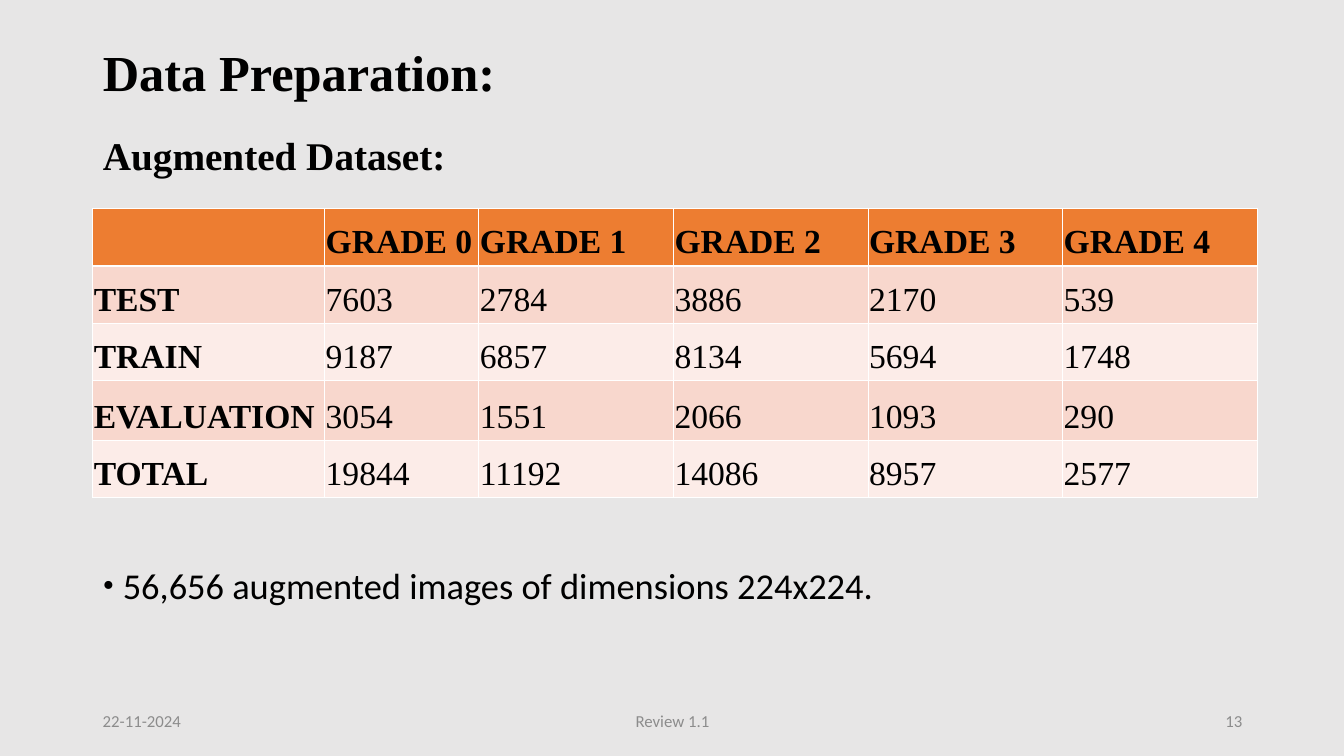
from lxml.etree import SubElement
from pptx import Presentation
from pptx.dml.color import RGBColor
from pptx.enum.text import MSO_ANCHOR, MSO_AUTO_SIZE, PP_ALIGN
from pptx.oxml.ns import qn
from pptx.util import Inches, Pt

COLORS = {
    "background": "E7E6E6",
    "text": "000000",
    "footer": "8C8C8C",
    "header": "ED7D31",
    "odd_row": "F8D7CD",
    "even_row": "FCECE8",
    "border": "FFFFFF",
}
SERIF, SANS = "Times New Roman", "Calibri"
COLUMN_WIDTHS = [2.3, 1.53] + [1.93] * 4
ROW_HEIGHTS = [0.57, 0.57, 0.57, 0.59, 0.57]
DATASET = [
    ["", "GRADE 0", "GRADE 1", "GRADE 2", "GRADE 3", "GRADE 4"],
    ["TEST", "7603", "2784", "3886", "2170", "539"],
    ["TRAIN", "9187", "6857", "8134", "5694", "1748"],
    ["EVALUATION", "3054", "1551", "2066", "1093", "290"],
    ["TOTAL", "19844", "11192", "14086", "8957", "2577"],
]


def color(name):
    return RGBColor.from_string(COLORS[name])


def write(para, text, size=24, font=SERIF, fill="text", bold=False,
          align=PP_ALIGN.LEFT):
    para.alignment = align
    span = para.add_run()
    span.text = text
    span.font.size = Pt(size)
    span.font.name = font
    span.font.bold = bold
    span.font.color.rgb = color(fill)


def place(shape, box):
    shape.left, shape.top, shape.width, shape.height = map(Inches, box)


def add_text_box(page, box, anchor):
    frame = page.shapes.add_textbox(*map(Inches, box)).text_frame
    frame.word_wrap = True
    frame.vertical_anchor = anchor
    return frame.paragraphs[0]


def add_title(page, box):
    title = page.shapes.title
    place(title, box)
    frame = title.text_frame
    frame.auto_size = MSO_AUTO_SIZE.NONE
    frame.vertical_anchor = MSO_ANCHOR.MIDDLE
    heading, subheading = frame.paragraphs[0], frame.add_paragraph()
    write(heading, "Data Preparation:", size=36, bold=True)
    write(subheading, "Augmented Dataset:", size=28, bold=True)
    heading.line_spacing = subheading.line_spacing = 0.9
    subheading.space_before = Pt(25)


def set_borders(cell, widths):
    properties = cell._tc.get_or_add_tcPr()
    for side, width in widths.items():
        line = SubElement(properties, qn(f"a:ln{side}"), w=str(Pt(width)))
        fill = SubElement(line, qn("a:solidFill"))
        SubElement(fill, qn("a:srgbClr"), val=COLORS["border"])


def format_cell(cell, text, row, column):
    cell.margin_left = cell.margin_top = cell.margin_right = Inches(0.01)
    cell.margin_bottom = Inches(0.05)
    cell.vertical_anchor = MSO_ANCHOR.BOTTOM
    set_borders(cell, {"L": 0.75, "R": 0.75,
                       "T": 1.92 if row == 1 else 0.75,
                       "B": 1.92 if row == 0 else 0.75})
    cell.fill.solid()
    band = "odd_row" if row % 2 else "even_row"
    cell.fill.fore_color.rgb = color("header" if row == 0 else band)
    if text:
        write(cell.text_frame.paragraphs[0], text,
              bold=row == 0 or column == 0)


def add_dataset_table(page, box):
    table = page.shapes.add_table(
        len(DATASET), len(DATASET[0]), *map(Inches, box)).table
    for column, width in zip(table.columns, COLUMN_WIDTHS):
        column.width = Inches(width)
    for row, height in zip(table.rows, ROW_HEIGHTS):
        row.height = Inches(height)
    for row, values in enumerate(DATASET):
        for column, text in enumerate(values):
            format_cell(table.cell(row, column), text, row, column)


def add_bullet_note(page, box):
    para = add_text_box(page, box, MSO_ANCHOR.BOTTOM)
    write(para, "56,656 augmented images of dimensions 224x224.",
          size=26, font=SANS)
    properties = para._p.get_or_add_pPr()
    properties.set("marL", str(Inches(0.2)))
    properties.set("indent", str(Inches(-0.2)))
    SubElement(properties, qn("a:buSzPct"), val="92000")
    SubElement(properties, qn("a:buFont"), typeface=SERIF)
    SubElement(properties, qn("a:buChar"), char="•")


def add_footer(page, box):
    left, top, width, height = box
    parts = [
        ("22-11-2024", left, 3, PP_ALIGN.LEFT),
        ("Review 1.1", left + (width - 4.5) / 2, 4.5, PP_ALIGN.CENTER),
        ("13", left + width - 3, 3, PP_ALIGN.RIGHT),
    ]
    for text, part_left, part_width, align in parts:
        para = add_text_box(page, (part_left, top, part_width, height),
                            MSO_ANCHOR.MIDDLE)
        write(para, text, size=12, font=SANS, fill="footer", align=align)


def main():
    deck = Presentation()
    deck.slide_width, deck.slide_height = Inches(13.33), Inches(7.5)
    page = deck.slides.add_slide(deck.slide_layouts[5])
    page.background.fill.solid()
    page.background.fill.fore_color.rgb = color("background")

    add_title(page, (0.92, 0.4, 11.5, 1.45))
    add_dataset_table(page, (0.92, 2.07, 11.53, 2.85))
    add_footer(page, (0.92, 6.95, 11.5, 0.4))
    add_bullet_note(page, (0.92, 5.13, 10.96, 0.94))
    deck.save("out.pptx")


if __name__ == "__main__":
    main()
